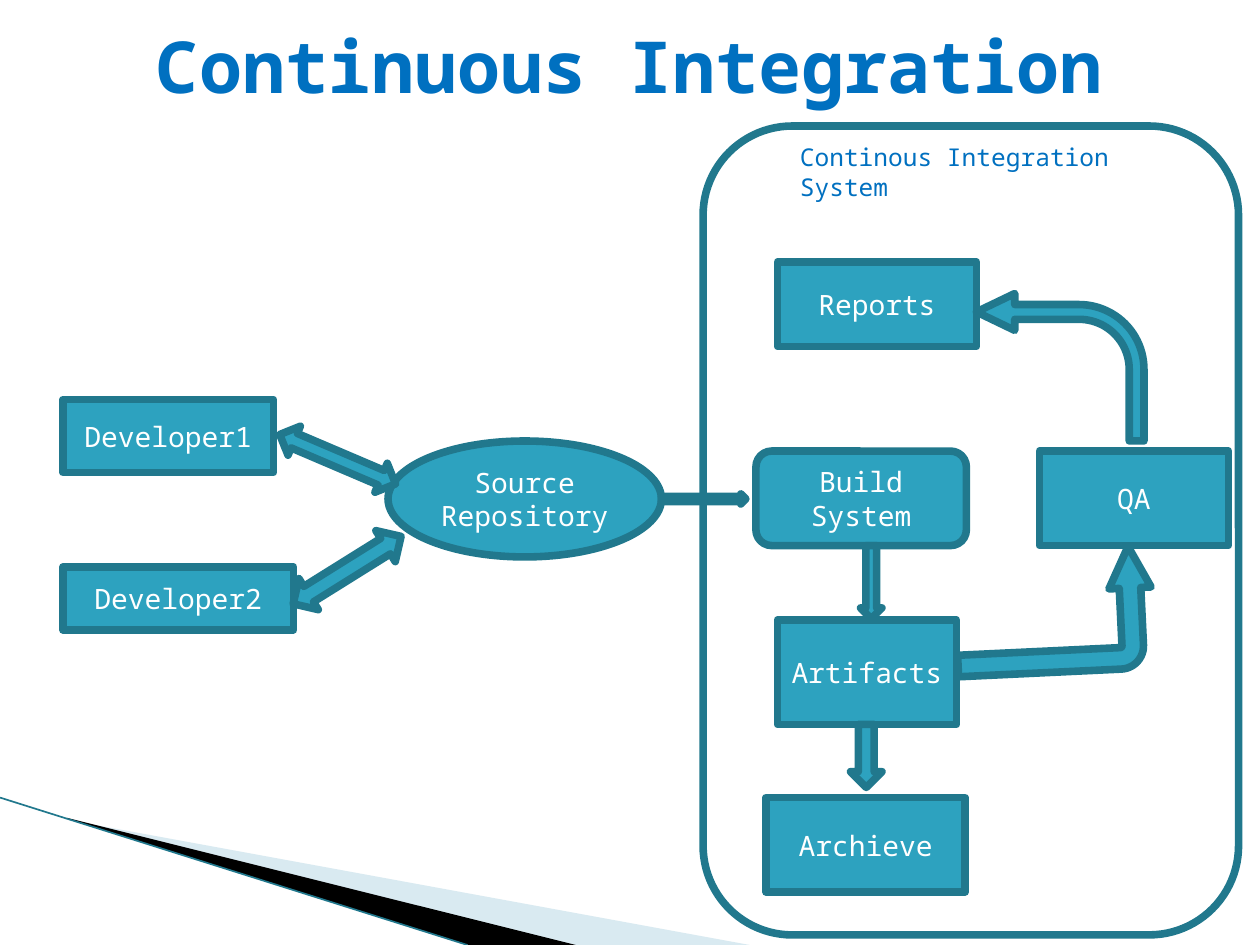
from lxml import etree
from pptx import Presentation
from pptx.dml.color import RGBColor
from pptx.enum.shapes import MSO_CONNECTOR, MSO_SHAPE as Kind
from pptx.enum.text import MSO_ANCHOR, MSO_AUTO_SIZE, PP_ALIGN
from pptx.oxml.ns import qn
from pptx.util import Inches, Pt

FONT = "Noto Sans Mono"
TEAL, DARK_TEAL, BLUE = "2DA2BF", "21788D", "0070C0"


def write(box, text, size, color, bold=False, align=PP_ALIGN.CENTER):
    """Put one formatted run of text into a shape."""
    box.text_frame.word_wrap = True
    para = box.text_frame.paragraphs[0]
    para.alignment = align
    span = para.add_run()
    span.text = text
    span.font.name = FONT
    span.font.size = Pt(size)
    span.font.bold = bold
    span.font.color.rgb = RGBColor.from_string(color)


def add_block(kind, place, fill=TEAL):
    """Add a preset shape with the thick dark outline."""
    block = page.shapes.add_shape(kind, *map(Inches, place))
    block.shadow.inherit = False
    if fill:
        block.fill.solid()
        block.fill.fore_color.rgb = RGBColor.from_string(fill)
    else:
        block.fill.background()
    block.line.color.rgb = RGBColor.from_string(DARK_TEAL)
    block.line.width = Pt(4.33)
    return block


deck = Presentation()
deck.slide_width, deck.slide_height = Inches(10), Inches(7.5)
page = deck.slides.add_slide(deck.slide_layouts[5])

# Corner decoration
wedges = [
    ("A0CBDC", 40, [(0.55, 6.51), (5.95, 7.5), (4.56, 7.5), (0.55, 6.5)]),
    ("000000", 100, [(0.53, 6.49), (4.57, 7.5), (3.72, 7.5), (0.54, 6.5)]),
]
for color, opacity, points in wedges:
    corners = [(Inches(x), Inches(y)) for x, y in points]
    builder = page.shapes.build_freeform(*corners[0])
    builder.add_line_segments(corners[1:], close=True)
    wedge = builder.convert_to_shape()
    wedge.shadow.inherit = False
    wedge.fill.solid()
    wedge.fill.fore_color.rgb = RGBColor.from_string(color)
    wedge.line.fill.background()
    if opacity < 100:
        tint = wedge.element.spPr.find(qn("a:solidFill"))[0]
        etree.SubElement(tint, qn("a:alpha"), val=str(opacity * 1000))

edge = page.shapes.add_connector(
    MSO_CONNECTOR.STRAIGHT, Inches(0), Inches(6.33), Inches(3.71), Inches(7.5))
edge.line.color.rgb = RGBColor.from_string(DARK_TEAL)
edge.line.width = Pt(0.95)
etree.SubElement(edge.element.spPr, qn("a:effectLst"))

# Title
title = page.shapes.title
title.left, title.top, title.width, title.height = map(Inches, (0.5, 0, 9, 1.03))
title.text_frame.vertical_anchor = MSO_ANCHOR.MIDDLE
write(title, "Continuous Integration", 41, BLUE, bold=True)

# Stages of the process
stages = [
    ("Developer1", Kind.RECTANGLE, (0.5, 3.17, 1.67, 0.58)),
    ("Developer2", Kind.RECTANGLE, (0.5, 4.5, 1.83, 0.5)),
    ("Source Repository", Kind.OVAL, (3.08, 3.5, 2.17, 0.92)),
    ("Build System", Kind.ROUNDED_RECTANGLE, (6, 3.58, 1.67, 0.75)),
    ("Artifacts", Kind.RECTANGLE, (6.17, 4.92, 1.42, 0.83)),
    ("QA", Kind.RECTANGLE, (8.25, 3.58, 1.5, 0.75)),
    ("Reports", Kind.RECTANGLE, (6.17, 2.08, 1.58, 0.67)),
    ("Archieve", Kind.RECTANGLE, (6.08, 6.33, 1.58, 0.75)),
]
for label, kind, place in stages:
    stage = add_block(kind, place)
    stage.text_frame.vertical_anchor = MSO_ANCHOR.MIDDLE
    write(stage, label, 16, "FFFFFF")

# Arrows: kind, place, rotation, adjustments (bent arrows are mirrored)
arrows = [
    (Kind.LEFT_RIGHT_ARROW, (2.18, 3.52, 1, 0.25), 23.1, []),
    (Kind.LEFT_RIGHT_ARROW, (2.25, 4.38, 1.01, 0.29), 328, []),
    (Kind.RIGHT_ARROW, (5.25, 3.92, 0.67, 0.08), 0, []),
    (Kind.DOWN_ARROW, (6.83, 4.33, 0.17, 0.58), 0, []),
    (Kind.DOWN_ARROW, (6.75, 5.75, 0.25, 0.5), 0, []),
    (Kind.BENT_ARROW, (7.75, 2.33, 1.33, 1.17), 0, [0.1, 0.125, 0.26, 0.44]),
    (Kind.BENT_ARROW, (7.88, 4.07, 0.97, 1.56), 87.3, [0.176, 0.173, 0.34, 0.19]),
]
for kind, place, angle, bends in arrows:
    arrow = add_block(kind, place)
    arrow.rotation = angle
    for index, bend in enumerate(bends):
        arrow.adjustments[index] = bend
    if kind == Kind.BENT_ARROW:
        arrow.element.spPr.find(qn("a:xfrm")).set("flipH", "1")

# Frame around the integration system
add_block(Kind.ROUNDED_RECTANGLE, (5.58, 1, 4.25, 6.42), fill=None)
caption = page.shapes.add_textbox(*map(Inches, (6.25, 1.08, 3.02, 0.34)))
caption.text_frame.auto_size = MSO_AUTO_SIZE.SHAPE_TO_FIT_TEXT
write(caption, "Continous Integration System", 14, BLUE, align=PP_ALIGN.LEFT)

deck.save("out.pptx")
